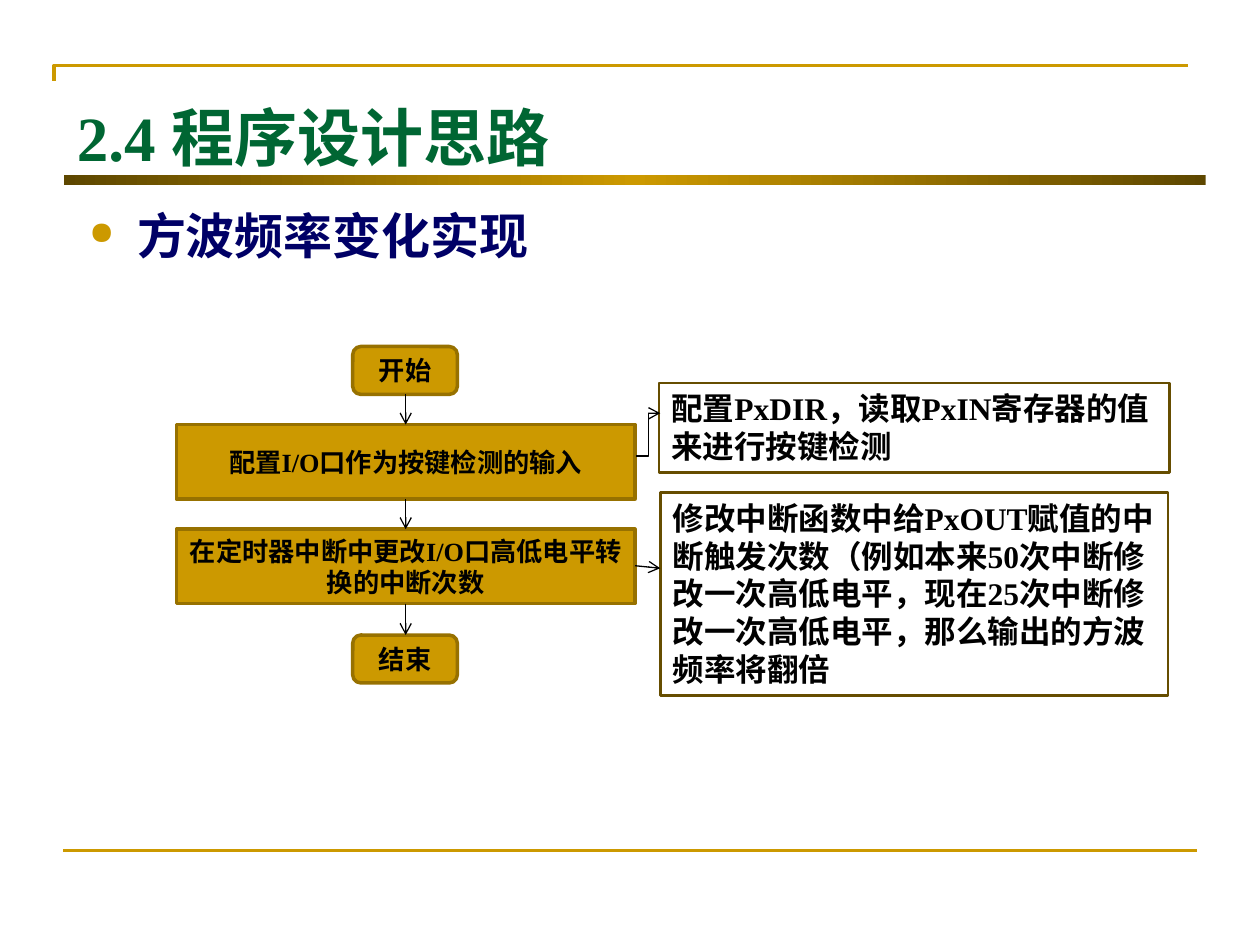
import copy

import pptx
import pptx.dml.color
import pptx.enum.shapes
import pptx.enum.text
import pptx.oxml.ns
import pptx.util
from lxml import etree

Inches = pptx.util.Inches
Pt = pptx.util.Pt
RGBColor = pptx.dml.color.RGBColor
SHAPE = pptx.enum.shapes.MSO_SHAPE
CONNECTOR = pptx.enum.shapes.MSO_CONNECTOR
ALIGN = pptx.enum.text.PP_ALIGN
ANCHOR = pptx.enum.text.MSO_ANCHOR
AUTO_SIZE = pptx.enum.text.MSO_AUTO_SIZE
qn = pptx.oxml.ns.qn

GOLD = RGBColor(0xCC, 0x99, 0x00)
DARK_GOLD = RGBColor(0x97, 0x71, 0x00)
BROWN = RGBColor(0x5E, 0x47, 0x00)
NOTE_BROWN = RGBColor(0x66, 0x4D, 0x00)
GREEN = RGBColor(0x00, 0x66, 0x33)
NAVY = RGBColor(0x00, 0x00, 0x66)
BLACK = RGBColor(0x00, 0x00, 0x00)
SERIF = "Times New Roman"

presentation = pptx.Presentation()
presentation.slide_width = Inches(10)
presentation.slide_height = Inches(7.5)
slide = presentation.slides.add_slide(presentation.slide_layouts[5])
shapes = slide.shapes


def write_text(shape, text, size, color, font=SERIF, align=ALIGN.LEFT, **frame_format):
    frame = shape.text_frame
    values = {"word_wrap": True, "vertical_anchor": ANCHOR.TOP, **frame_format}
    for name, value in values.items():
        setattr(frame, name, value)
    paragraph = frame.paragraphs[0]
    paragraph.alignment = align
    run = paragraph.add_run()
    run.text = text
    for name, value in {"name": font, "size": Pt(size), "bold": True}.items():
        setattr(run.font, name, value)
    run.font.color.rgb = color
    return paragraph


def draw_line(kind, start, end, color, width, arrow=False):
    line = shapes.add_connector(kind, *(Inches(value) for value in start + end))
    line.line.color.rgb = color
    line.line.width = Pt(width)
    if arrow:
        etree.SubElement(line.line._get_or_add_ln(), qn("a:tailEnd"), type="arrow")
    etree.SubElement(line._element.spPr, qn("a:effectLst"))


# Frame lines
builder = shapes.build_freeform(Inches(0.43), Inches(0.64))
builder.add_line_segments(
    [(Inches(0.43), Inches(0.52)), (Inches(9.43), Inches(0.52))], close=False)
corner = builder.convert_to_shape()
corner.shadow.inherit = False
corner.fill.background()
corner.line.color.rgb = GOLD
corner.line.width = Pt(2.25)
draw_line(CONNECTOR.STRAIGHT, (0.5, 6.75), (9.5, 6.75), GOLD, 1.5)

# Gradient bar under the title
bar = shapes.add_shape(SHAPE.RECTANGLE, Inches(0.51), Inches(1.39), Inches(9.06), Inches(0.08))
bar.shadow.inherit = False
bar.line.fill.background()
bar.fill.gradient()
bar.fill.gradient_angle = 0
stop_list = bar._element.spPr.find(qn("a:gradFill")).find(qn("a:gsLst"))
stop_list.append(copy.deepcopy(stop_list[0]))
for stop, position, color in zip(bar.fill.gradient_stops, (0, 0.5, 1), (BROWN, GOLD, BROWN)):
    stop.position = position
    stop.color.rgb = color

# Title
title = shapes.title
title.left, title.top = Inches(0.51), Inches(0.73)
title.width, title.height = Inches(6.75), Inches(0.58)
write_text(title, "2.4 程序设计思路", 36, GREEN, auto_size=AUTO_SIZE.NONE)

# Bulleted heading
heading = shapes.add_textbox(Inches(0.61), Inches(1.58), Inches(6.76), Inches(0.55))
paragraph = write_text(heading, "方波频率变化实现", 28, NAVY)
properties = paragraph._p.get_or_add_pPr()
properties.set("marL", str(Inches(0.38)))
properties.set("indent", str(-Inches(0.38)))
bullet_color = etree.SubElement(properties, qn("a:buClr"))
etree.SubElement(bullet_color, qn("a:srgbClr"), val=str(GOLD))
etree.SubElement(properties, qn("a:buSzPct"), val="65000")
etree.SubElement(properties, qn("a:buChar"), char="●")

# Flowchart steps
TERMINAL = (SHAPE.ROUNDED_RECTANGLE, 2.8, 0.83, 0.38, "Arial")
PROCESS = (SHAPE.RECTANGLE, 1.4, 3.64, 0.59, SERIF)
steps = [
    (TERMINAL, 2.75, "开始"),
    (PROCESS, 3.37, "配置I/O口作为按键检测的输入"),
    (PROCESS, 4.2, "在定时器中断中更改I/O口高低电平转换的中断次数"),
    (TERMINAL, 5.04, "结束"),
]
for (kind, left, width, height, font), top, text in steps:
    step = shapes.add_shape(kind, Inches(left), Inches(top), Inches(width), Inches(height))
    step.shadow.inherit = False
    step.fill.solid()
    step.fill.fore_color.rgb = GOLD
    step.line.color.rgb = DARK_GOLD
    step.line.width = Pt(2)
    write_text(step, text, 15, BLACK, font, ALIGN.CENTER, vertical_anchor=ANCHOR.MIDDLE,
               margin_left=Inches(0.07), margin_right=Inches(0.07),
               margin_top=Inches(0.04), margin_bottom=Inches(0.04))

# Arrows between consecutive steps
for (upper, upper_top, _), (_, lower_top, _) in zip(steps, steps[1:]):
    draw_line(CONNECTOR.STRAIGHT, (3.22, upper_top + upper[3]), (3.22, lower_top),
              BLACK, 0.75, arrow=True)

# Notes beside the steps
notes = [
    (5.23, 3.04, 4.05, 0.71, "配置PxDIR，读取PxIN寄存器的值来进行按键检测"),
    (5.24, 3.91, 4.03, 1.61,
     "修改中断函数中给PxOUT赋值的中断触发次数（例如本来50次中断修改一次高低电平，"
     "现在25次中断修改一次高低电平，那么输出的方波频率将翻倍"),
]
for left, top, width, height, text in notes:
    note = shapes.add_textbox(Inches(left), Inches(top), Inches(width), Inches(height))
    note.line.color.rgb = NOTE_BROWN
    note.line.width = Pt(1.5)
    write_text(note, text, 18, BLACK, auto_size=AUTO_SIZE.SHAPE_TO_FIT_TEXT)

# Arrows from steps to notes
draw_line(CONNECTOR.ELBOW, (5.05, 3.62), (5.24, 3.28), BLACK, 0.75, arrow=True)
draw_line(CONNECTOR.STRAIGHT, (5.04, 4.49), (5.24, 4.51), BLACK, 0.75, arrow=True)

presentation.save("out.pptx")
